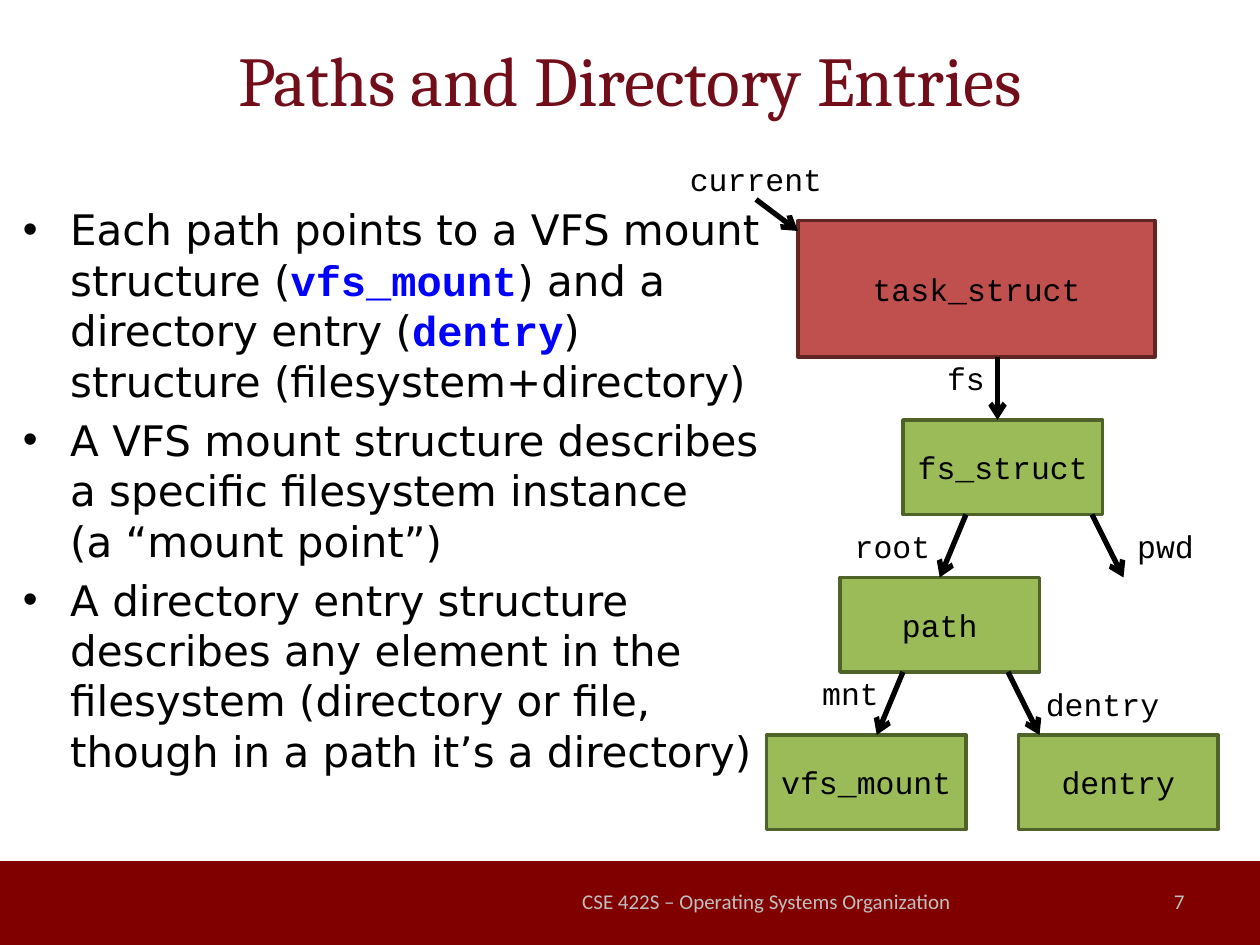
from typing import NamedTuple

from lxml.etree import SubElement
from pptx import Presentation
from pptx.dml.color import RGBColor
from pptx.enum.shapes import MSO_CONNECTOR, MSO_SHAPE
from pptx.enum.text import MSO_ANCHOR, PP_ALIGN
from pptx.oxml.ns import qn
from pptx.util import Pt

COLORS = {
    "maroon": "800000",
    "title": "720D1A",
    "footer": "BFBFBF",
    "text": "000000",
    "code": "0000FF",
    "task": "C0504D",
    "task_edge": "632523",
    "struct": "9BBB59",
    "struct_edge": "4F6228",
}
CODE_FONT = "Courier New"
BODY_FONT = "DejaVu Sans"
BODY_SIZE = 24
INDENT = 27


class Struct(NamedTuple):
    name: str
    left: float
    top: float
    width: float = 114
    height: float = 54
    color: str = "struct"


class Label(NamedTuple):
    text: str
    left: float
    top: float


class Arrow(NamedTuple):
    start_x: float
    start_y: float
    end_x: float
    end_y: float


STRUCTS = [
    Struct("task_struct", 456, 126, 204, 78, "task"),
    Struct("fs_struct", 516, 240),
    Struct("path", 480, 330),
    Struct("vfs_mount", 438, 420),
    Struct("dentry", 582, 420),
]
LABELS = [
    Label("current", 378, 90),
    Label("fs", 498, 204),
    Label("root", 456, 300),
    Label("pwd", 612, 300),
    Label("mnt", 432, 384),
    Label("dentry", 576, 390),
]
ARROWS = [
    Arrow(432, 114, 456, 132),
    Arrow(570, 204, 570, 240),
    Arrow(552, 294, 537, 330),
    Arrow(624, 294, 642, 330),
    Arrow(516, 384, 501, 420),
    Arrow(576, 384, 594, 420),
]
BULLETS = [
    [
        ("Each path points to a VFS mount structure (", False),
        ("vfs_mount", True),
        (") and a directory entry (", False),
        ("dentry", True),
        (") structure (filesystem+directory)", False),
    ],
    [("A VFS mount structure describes a specific filesystem instance\v(a “mount point”)", False)],
    [
        (
            "A directory entry structure describes any element in the filesystem "
            "(directory or file, though in a path it’s a directory)",
            False,
        )
    ],
]


def rgb(name: str) -> RGBColor:
    return RGBColor.from_string(COLORS[name])


def write(para, text: str, *, size: float = 18, font: str = CODE_FONT,
          color: str = "text", bold: bool = False, align=None) -> None:
    if align is not None:
        para.alignment = align
    for index, line in enumerate(text.split("\v")):
        if index:
            para.add_line_break()
        span = para.add_run()
        span.text = line
        span.font.size = Pt(size)
        span.font.name = font
        span.font.bold = bold
        span.font.color.rgb = rgb(color)


def add_box(page, left: float, top: float, width: float, height: float,
            anchor=MSO_ANCHOR.MIDDLE):
    box = page.shapes.add_textbox(Pt(left), Pt(top), Pt(width), Pt(height))
    box.text_frame.word_wrap = True
    box.text_frame.vertical_anchor = anchor
    return box


def add_rectangle(page, left: float, top: float, width: float, height: float, fill: str):
    shape = page.shapes.add_shape(
        MSO_SHAPE.RECTANGLE, Pt(left), Pt(top), Pt(width), Pt(height))
    shape.shadow.inherit = False
    shape.fill.solid()
    shape.fill.fore_color.rgb = rgb(fill)
    shape.line.fill.background()
    return shape


def add_struct(page, struct: Struct) -> None:
    shape = add_rectangle(
        page, struct.left, struct.top, struct.width, struct.height, struct.color)
    shape.line.color.rgb = rgb(f"{struct.color}_edge")
    shape.line.width = Pt(2)
    shape.text_frame.vertical_anchor = MSO_ANCHOR.MIDDLE
    write(shape.text_frame.paragraphs[0], struct.name, align=PP_ALIGN.CENTER)


def add_label(page, label: Label) -> None:
    box = add_box(page, label.left, label.top, 108, 24)
    write(box.text_frame.paragraphs[0], label.text, align=PP_ALIGN.CENTER)


def add_arrow(page, arrow: Arrow) -> None:
    connector = page.shapes.add_connector(
        MSO_CONNECTOR.STRAIGHT, *(Pt(value) for value in arrow))
    connector.line.color.rgb = rgb("text")
    connector.line.width = Pt(3)
    SubElement(connector.line._get_or_add_ln(), qn("a:tailEnd"), type="arrow")
    SubElement(connector._element.spPr, qn("a:effectLst"))


def add_bullets(page) -> None:
    frame = add_box(page, 6, 113, 444, 379, MSO_ANCHOR.TOP).text_frame
    for index, spans in enumerate(BULLETS):
        para = frame.add_paragraph() if index else frame.paragraphs[0]
        para.space_before = Pt(5 if index else 0)
        properties = para._p.get_or_add_pPr()
        properties.set("marL", str(Pt(INDENT)))
        properties.set("indent", str(-Pt(INDENT)))
        SubElement(properties, qn("a:buFont"), typeface="Arial")
        SubElement(properties, qn("a:buChar"), char="•")
        for text, is_code in spans:
            write(para, text, size=BODY_SIZE, bold=is_code,
                  font=CODE_FONT if is_code else BODY_FONT,
                  color="code" if is_code else "text")


def main() -> None:
    deck = Presentation()
    deck.slide_width, deck.slide_height = Pt(720), Pt(540)
    page = deck.slides.add_slide(deck.slide_layouts[6])

    add_rectangle(page, 0, 492, 720, 48, "maroon")
    title = add_box(page, 36, 0, 648, 90)
    write(title.text_frame.paragraphs[0], "Paths and Directory Entries",
          size=40, font="Cambria", color="title", align=PP_ALIGN.CENTER)
    footer = add_box(page, 324, 500.5, 228, 28.75)
    write(footer.text_frame.paragraphs[0], "CSE 422S – Operating Systems Organization",
          size=12, font="Calibri", color="footer", align=PP_ALIGN.CENTER)
    number = add_box(page, 516, 500.5, 168, 28.75)
    write(number.text_frame.paragraphs[0], "7",
          size=12, font="Calibri", color="footer", align=PP_ALIGN.RIGHT)

    add_bullets(page)
    for struct in STRUCTS:
        add_struct(page, struct)
    for label in LABELS:
        add_label(page, label)
    for arrow in ARROWS:
        add_arrow(page, arrow)

    deck.save("out.pptx")


if __name__ == "__main__":
    main()
